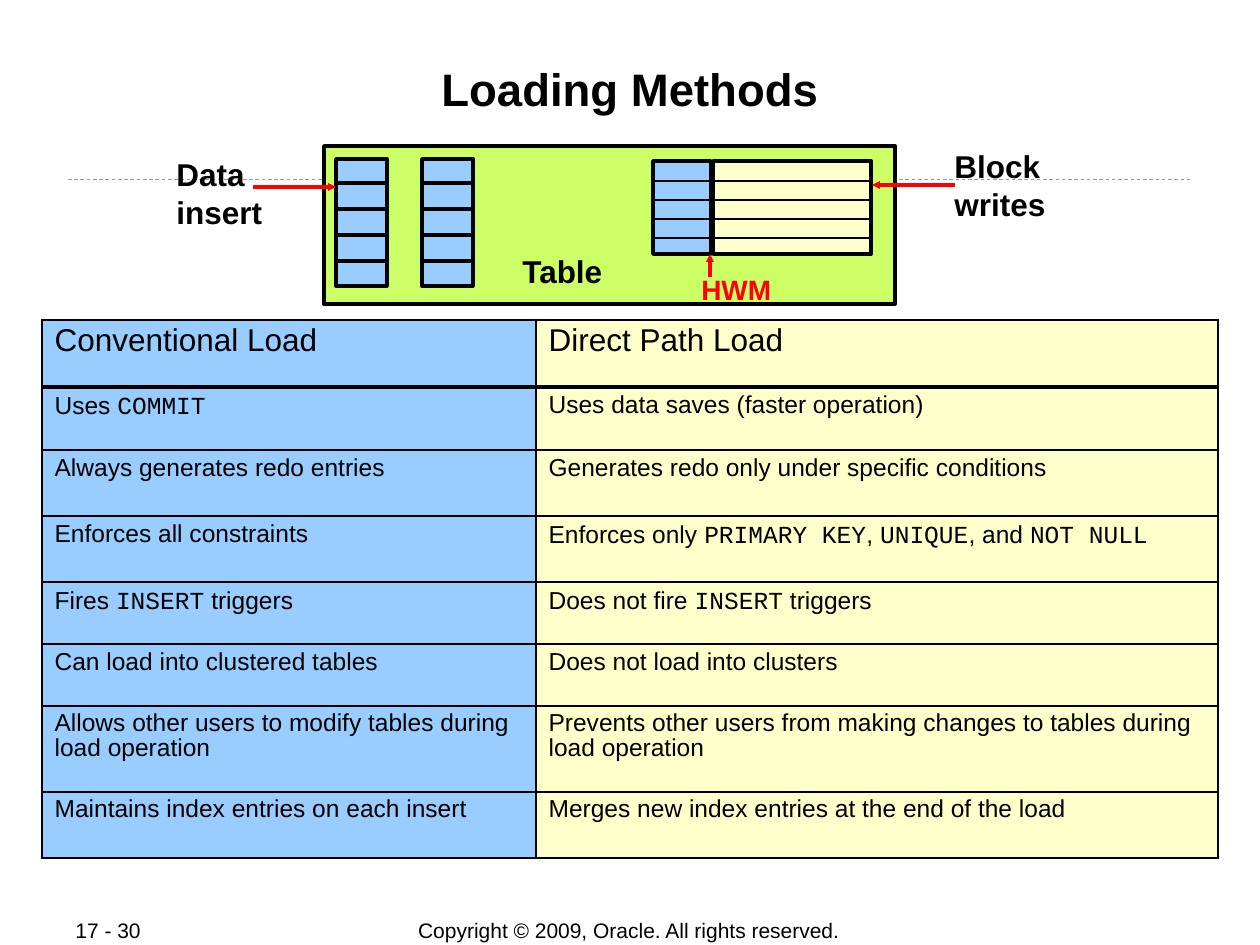
from lxml import etree
from pptx import Presentation
from pptx.dml.color import RGBColor
from pptx.enum.dml import MSO_LINE
from pptx.enum.shapes import MSO_CONNECTOR, MSO_SHAPE
from pptx.enum.text import MSO_ANCHOR, MSO_AUTO_SIZE, PP_ALIGN
from pptx.oxml.ns import qn
from pptx.util import Emu, Pt

STRAIGHT, RECT, DASH = MSO_CONNECTOR.STRAIGHT, MSO_SHAPE.RECTANGLE, MSO_LINE.DASH
TOP, MIDDLE = MSO_ANCHOR.TOP, MSO_ANCHOR.MIDDLE
LEFT, CENTER = PP_ALIGN.LEFT, PP_ALIGN.CENTER
SANS, MONO = "Arial", "Courier New"
COLORS = {"black": "000000", "red": "FF0000", "gray": "999999",
          "blue": "99CCFF", "cream": "FFFFCC", "green": "CCFF66"}

COLUMN_WIDTHS = [494, 682]
ROW_HEIGHTS = [67, 63, 66, 66, 62, 62, 86, 66]
# Backticks mark code
ROWS = [
    ("Conventional Load", "Direct Path Load"),
    ("Uses `COMMIT`", "Uses data saves (faster operation)"),
    ("Always generates redo entries", "Generates redo only under specific conditions"),
    ("Enforces all constraints", "Enforces only `PRIMARY KEY`, `UNIQUE`, and `NOT NULL`"),
    ("Fires `INSERT` triggers", "Does not fire `INSERT` triggers"),
    ("Can load into clustered tables", "Does not load into clusters"),
    ("Allows other users to modify tables during load operation",
     "Prevents other users from making changes to tables during load operation"),
    ("Maintains index entries on each insert",
     "Merges new index entries at the end of the load"),
]


def px(n):
    return Emu(round(n * 914400 / 126))


def rgb(name):
    return RGBColor.from_string(COLORS[name])


def set_font(font, size, color="black", bold=False, name=SANS):
    font.name, font.size, font.bold = name, Pt(size), bold
    font.color.rgb = rgb(color)


def add_title(s, text, x, y, w, h):
    title = s.shapes.title
    title.left, title.top, title.width, title.height = map(px, (x, y, w, h))
    tf = title.text_frame
    tf.text = text
    tf.auto_size, tf.vertical_anchor = MSO_AUTO_SIZE.NONE, TOP
    tf.margin_left = tf.margin_right = tf.margin_top = tf.margin_bottom = px(1)
    p = tf.paragraphs[0]
    p.alignment = CENTER
    set_font(p.font, 26, bold=True)


def add_text(s, text, x, y, w, h, size, color="black", bold=True,
             align=LEFT, anchor=TOP, wrap=True):
    tf = s.shapes.add_textbox(px(x), px(y), px(w), px(h)).text_frame
    tf.word_wrap, tf.vertical_anchor = wrap, anchor
    p = tf.paragraphs[0]
    p.text = text
    p.alignment = align
    set_font(p.font, size, color, bold)


def add_rect(s, x, y, w, h, fill):
    sp = s.shapes.add_shape(RECT, px(x), px(y), px(w), px(h))
    sp.shadow.inherit = False
    sp.fill.solid()
    sp.fill.fore_color.rgb = rgb(fill)
    sp.line.color.rgb = rgb("black")
    sp.line.width = Pt(2)


def add_line(s, x1, y1, x2, y2, width, color="black"):
    line = s.shapes.add_connector(STRAIGHT, px(x1), px(y1), px(x2), px(y2))
    line.line.color.rgb = rgb(color)
    line.line.width = Pt(width)
    etree.SubElement(line._element.spPr, qn("a:effectLst"))
    return line


def add_arrow(s, x1, y1, x2, y2):
    ln = add_line(s, x1, y1, x2, y2, 2.25, "red").line._get_or_add_ln()
    etree.SubElement(ln, qn("a:tailEnd"), type="triangle", w="sm", len="sm")


def add_block(s, x, y, w, h, fill, first, step, width):
    """A rectangle cut into five rows by four rules."""
    add_rect(s, x, y, w, h, fill)
    for i in range(4):
        add_line(s, x, first + i * step, x + w, first + i * step, width)


def set_borders(cell, widths):
    tc_pr = cell._tc.get_or_add_tcPr()
    for i, (side, width) in enumerate(widths.items()):
        ln = etree.Element(qn(f"a:ln{side}"), w=str(Pt(width)))
        fill = etree.SubElement(ln, qn("a:solidFill"))
        etree.SubElement(fill, qn("a:srgbClr"), val=COLORS["black"])
        tc_pr.insert(i, ln)


def fill_cell(cell, text, row, fill):
    cell.fill.solid()
    cell.fill.fore_color.rgb = rgb(fill)
    set_borders(cell, {"L": 1.08, "R": 1.08, "T": 2.21 if row == 1 else 1.08,
                       "B": 2.21 if row == 0 else 1.08})
    p = cell.text_frame.paragraphs[0]
    p.line_spacing = 0.9
    for i, part in enumerate(text.split("`")):
        if part:
            r = p.add_run()
            r.text = part
            set_font(r.font, 14 if row else 18, name=MONO if i % 2 else SANS)


def add_comparison(s, x, y):
    frame = s.shapes.add_table(len(ROWS), 2, px(x), px(y),
                               px(sum(COLUMN_WIDTHS)), px(sum(ROW_HEIGHTS)))
    table = frame.table
    table.first_row = table.horz_banding = False
    for column, width in zip(table.columns, COLUMN_WIDTHS):
        column.width = px(width)
    for i, (height, texts) in enumerate(zip(ROW_HEIGHTS, ROWS)):
        table.rows[i].height = px(height)
        for j, fill in enumerate(("blue", "cream")):
            fill_cell(table.cell(i, j), texts[j], i, fill)


def main():
    prs = Presentation()
    prs.slide_width, prs.slide_height = px(1260), px(945)
    s = prs.slides.add_slide(prs.slide_layouts[5])

    # Footer, divider and title
    add_text(s, "Copyright © 2009, Oracle. All rights reserved.", 346, 917, 566, 27,
             12, bold=False, align=CENTER, anchor=MIDDLE, wrap=False)
    add_text(s, "17 - 30", 63, 917, 134, 26, 12, bold=False, anchor=MIDDLE, wrap=False)
    add_line(s, 68, 179, 1192, 179, 0.5, "gray").line.dash_style = DASH
    add_title(s, "Loading Methods", 84, 60, 1092, 121)

    add_comparison(s, 42, 320)

    # Table diagram: data blocks, then used and new space
    add_rect(s, 324, 146, 571, 158, "green")
    add_text(s, "Table", 510, 246, 130, 49, 18)
    for x in (336, 422):
        add_block(s, x, 159, 51, 127, "blue", 183, 26, 2)
    add_block(s, 653, 161, 58, 93, "blue", 181, 19, 1)
    add_block(s, 713, 161, 158, 93, "cream", 181, 19, 1)
    add_line(s, 713, 160, 713, 252, 1)

    # Labels and arrows
    add_text(s, "Block\vwrites", 942, 141, 137, 88, 18)
    add_arrow(s, 955, 185, 872, 185)
    add_text(s, "HWM", 689, 266, 130, 45, 16, "red")
    add_arrow(s, 710, 277, 710, 254)
    add_text(s, "Data insert", 164, 149, 137, 88, 18)
    add_arrow(s, 253, 187, 336, 187)

    prs.save("out.pptx")


if __name__ == "__main__":
    main()
